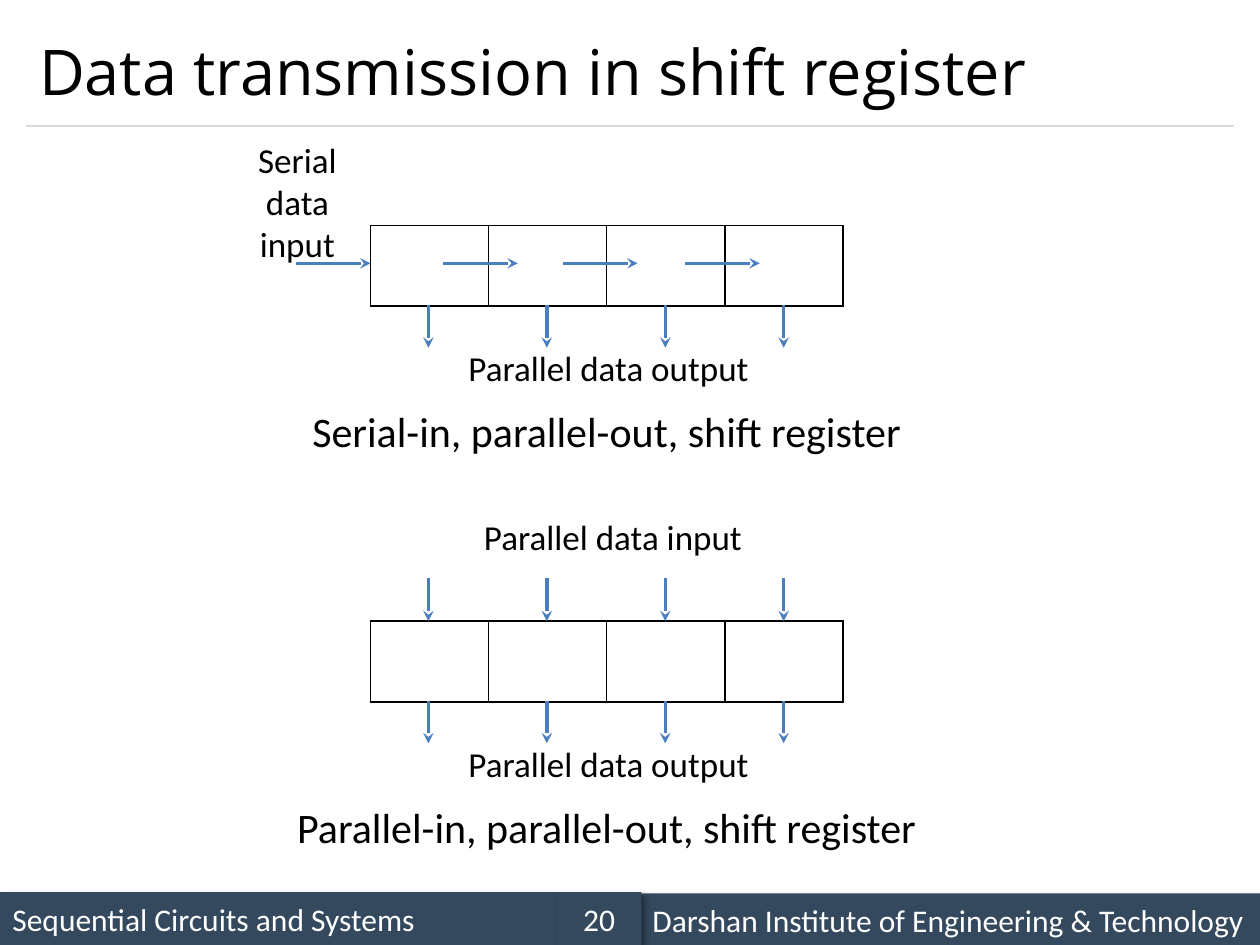
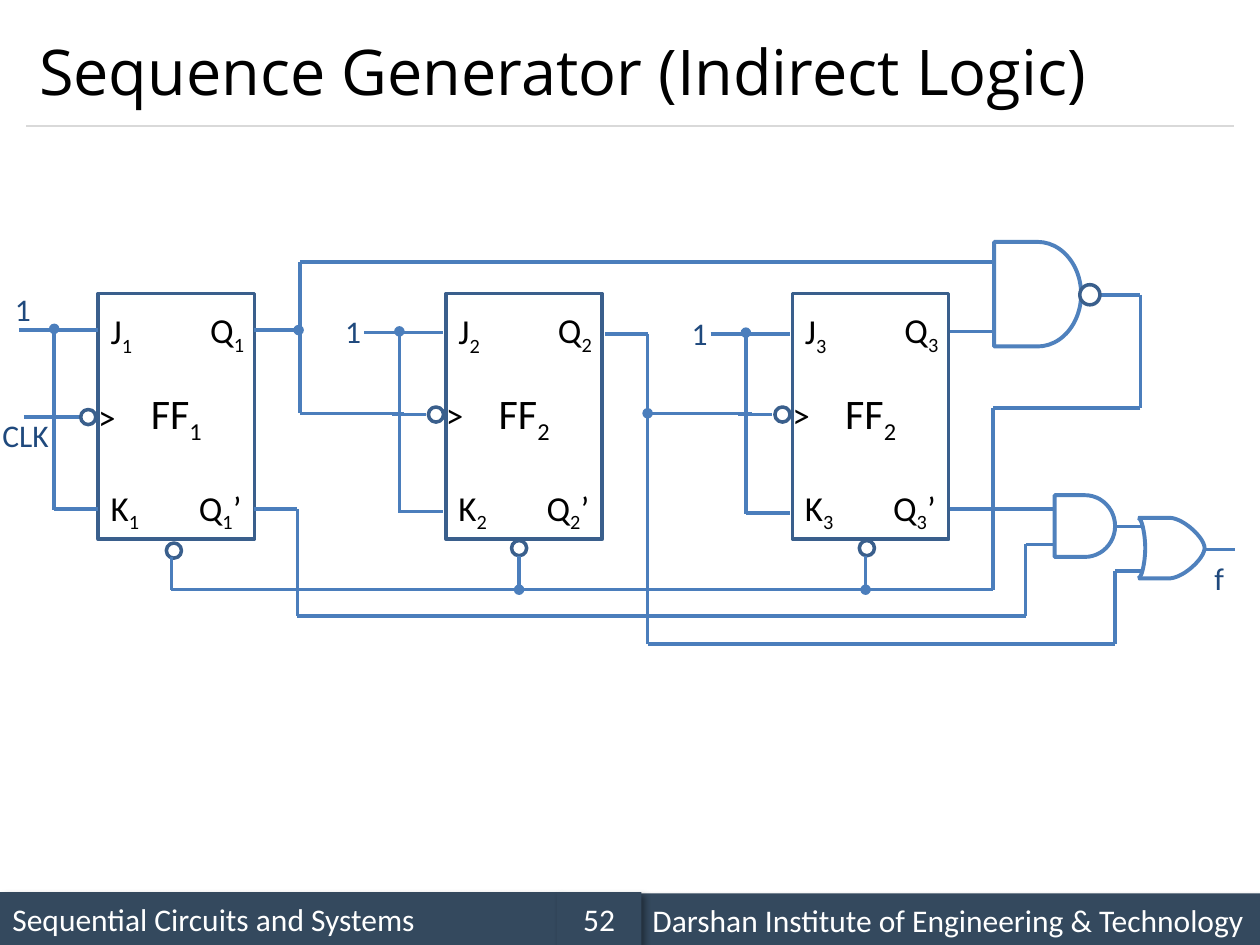
from itertools import pairwise

from lxml.etree import SubElement
from pptx import Presentation
from pptx.dml.color import RGBColor
from pptx.enum.shapes import MSO_CONNECTOR, MSO_SHAPE
from pptx.enum.text import MSO_ANCHOR, MSO_AUTO_SIZE, PP_ALIGN
from pptx.oxml.ns import qn
from pptx.util import Inches, Pt

COLOURS = {
    "band": "34495E",
    "rule": "D9D9D9",
    "wire": "4B7EBC",
    "gate": "4F81BD",
    "outline": "3A5F8C",
    "signal": "1F497D",
    "ink": "000000",
    "paper": "FFFFFF",
}
BODY_FONT, TITLE_FONT = "Calibri", "Open Sans"
BUBBLE = 0.12


def colour(name):
    """Return the named colour."""
    return RGBColor.from_string(COLOURS[name])


def write(frame, text, size, ink="ink", align=PP_ALIGN.LEFT, font=BODY_FONT):
    """Write one paragraph in which an underscore lowers the next letter."""
    paragraph = frame.paragraphs[0]
    paragraph.alignment = align
    plain, *lowered = text.split("_")
    pieces = [(plain, False)]
    for part in lowered:
        pieces += [(part[0], True), (part[1:], False)]
    for words, is_subscript in pieces:
        if not words:
            continue
        run = paragraph.add_run()
        run.text = words
        run.font.size, run.font.name = Pt(size), font
        run.font.color.rgb = colour(ink)
        if is_subscript:
            run._r.get_or_add_rPr().set("baseline", "-25000")


def label(slide, text, box, size=20, ink="ink", align=PP_ALIGN.LEFT, wrap=False):
    """Place a text label in the box."""
    frame = slide.shapes.add_textbox(*map(Inches, box)).text_frame
    frame.word_wrap = wrap
    write(frame, text, size, ink, align)


def block(slide, kind, box, fill=None, outline=None, weight=2):
    """Place a flat preset shape in the box."""
    shape = slide.shapes.add_shape(kind, *map(Inches, box))
    shape.shadow.inherit = False
    style(shape, fill, outline, weight)
    shape.text_frame.vertical_anchor = MSO_ANCHOR.MIDDLE
    return shape


def style(shape, fill, outline, weight):
    """Set the fill and outline, leaving out what is not named."""
    for part, name in ((shape.fill, fill), (shape.line.fill, outline)):
        if name:
            part.solid()
            part.fore_color.rgb = colour(name)
        else:
            part.background()
    if outline:
        shape.line.width = Pt(weight)


def line(slide, start, end, tail=None, head=None, ink="wire", weight=2):
    """Draw a straight line with optional end marks."""
    connector = slide.shapes.add_connector(
        MSO_CONNECTOR.STRAIGHT, *map(Inches, (*start, *end)))
    connector.line.color.rgb = colour(ink)
    connector.line.width = Pt(weight)
    properties = connector.element.spPr
    for tag, mark in (("a:headEnd", head), ("a:tailEnd", tail)):
        if mark:
            SubElement(properties.find(qn("a:ln")), qn(tag), type=mark)
    SubElement(properties, qn("a:effectLst"))


def route(slide, *corners):
    """Join the corners with straight wires."""
    for start, end in pairwise(corners):
        line(slide, start, end)


def bubble(slide, left, top, size=BUBBLE):
    """Draw an inversion bubble."""
    block(slide, MSO_SHAPE.OVAL, (left, top, size, size), "paper", "outline")


def footer_band(slide, text, box, align=PP_ALIGN.LEFT):
    """Draw one shaded part of the footer."""
    band = block(slide, MSO_SHAPE.RECTANGLE, box, "band")
    effects = band.element.spPr.find(qn("a:effectLst"))
    shadow = SubElement(effects, qn("a:outerShdw"), blurRad=str(Pt(4)),
                        dist=str(Pt(3)), dir=str(45 * 60000), rotWithShape="0")
    black = SubElement(shadow, qn("a:srgbClr"), val=COLOURS["ink"])
    SubElement(black, qn("a:alpha"), val="40000")
    write(band.text_frame, text, 18, "paper", align)


def new_slide(deck, title, page):
    """Add a slide with its title, rule and footer."""
    slide = deck.slides.add_slide(deck.slide_layouts[5])
    footer_band(slide, "Sequential Circuits and Systems", (0, 7.08, 4.42, 0.42))
    line(slide, (0.21, 1), (9.79, 1), ink="rule", weight=0.75)
    footer_band(slide, "Darshan Institute of Engineering & Technology",
                (5.08, 7.09, 4.92, 0.42))
    footer_band(slide, page, (4.42, 7.08, 0.67, 0.42), PP_ALIGN.CENTER)
    heading = slide.shapes.title
    heading.left, heading.top, heading.width, heading.height = map(
        Inches, (0.21, 0.12, 9.58, 0.88))
    frame = heading.text_frame
    frame.auto_size = MSO_AUTO_SIZE.NONE
    frame.vertical_anchor = MSO_ANCHOR.MIDDLE
    write(frame, title, 36, font=TITLE_FONT)
    return slide


def register_cells(slide, box, count=4):
    """Draw the register as a one-row table with black borders."""
    table = slide.shapes.add_table(1, count, *map(Inches, box)).table
    table.first_row = table.horz_banding = False
    for cell in table.iter_cells():
        properties = cell._tc.get_or_add_tcPr()
        for side in ("a:lnL", "a:lnR", "a:lnT", "a:lnB"):
            border = SubElement(properties, qn(side), w=str(Pt(1)))
            fill = SubElement(border, qn("a:solidFill"))
            SubElement(fill, qn("a:srgbClr"), val=COLOURS["ink"])
        cell.fill.background()


def parallel_arrows(slide, left, top):
    """Draw one downward arrow for each register cell."""
    for cell in range(4):
        x = left + 0.46 + 0.94 * cell
        line(slide, (x, top), (x, top + 0.34), tail="stealth")


def parallel_out_register(slide, left, top, caption):
    """Draw a register with its parallel output and caption."""
    register_cells(slide, (left, top, 3.75, 0.64))
    parallel_arrows(slide, left, top + 0.63)
    label(slide, "Parallel data output", (left + 0.64, top + 0.91, 2.5, 0.47),
          align=PP_ALIGN.CENTER, wrap=True)
    label(slide, caption, (left - 0.87, top + 1.38, 5.49, 0.51), 24,
          align=PP_ALIGN.CENTER, wrap=True)


def serial_input(slide, left, top):
    """Draw the serial input and the shifts between cells."""
    label(slide, "Serial data input", (left - 1.02, top - 0.74, 0.88, 1.11),
          align=PP_ALIGN.CENTER, wrap=True)
    for offset in (-0.59, 0.58, 1.53, 2.5):
        x, y = left + offset, top + 0.3
        line(slide, (x, y), (x + 0.59, y), tail="stealth")


def parallel_input(slide, left, top):
    """Draw the parallel input above a register."""
    label(slide, "Parallel data input", (left + 0.79, top - 0.89, 2.27, 0.46),
          align=PP_ALIGN.CENTER, wrap=True)
    parallel_arrows(slide, left, top - 0.34)


def transmission_slide(deck):
    """Build the slide on data transmission."""
    slide = new_slide(deck, "Data transmission in shift register", "20")
    left, serial_top, parallel_top = 2.94, 1.79, 4.93
    parallel_out_register(slide, left, serial_top,
                          "Serial-in, parallel-out, shift register")
    serial_input(slide, left, serial_top)
    parallel_out_register(slide, left, parallel_top,
                          "Parallel-in, parallel-out, shift register")
    parallel_input(slide, left, parallel_top)


def flip_flop(slide, left, top, name, number, clock_y):
    """Draw a flip-flop with its pin names."""
    body = block(slide, MSO_SHAPE.RECTANGLE, (left, top, 1.24, 1.95), None, "outline")
    write(body.text_frame, name, 24, align=PP_ALIGN.CENTER)
    pins = (
        (f"J_{number}", 0, 0.08, 0.39),
        (f"Q_{number}", 0.79, 0.07, 0.49),
        (">", -0.1, clock_y - 0.22 - top, 0.34),
        (f"K_{number}", 0, 1.48, 0.44),
        (f"Q_{number}’", 0.7, 1.48, 0.56),
    )
    for pin, dx, dy, width in pins:
        label(slide, pin, (left + dx, top + dy, width, 0.44))


def high_input(slide, left, top, text_left, text_top):
    """Tie the J and K pins to logic 1."""
    right, rail, bottom = left + 0.63, left + 0.28, top + 1.42
    line(slide, (left, top), (right, top))
    line(slide, (rail, bottom), (right, bottom))
    line(slide, (rail, top - 0.01), (rail, bottom + 0.01), head="oval")
    label(slide, "1", (text_left, text_top, 0.33, 0.4), 18, "signal")


def bezier(start, pull_start, pull_end, end, steps=16):
    """Return points along a cubic curve."""
    points = []
    for step in range(steps + 1):
        t = step / steps
        weights = ((1 - t) ** 3, 3 * t * (1 - t) ** 2, 3 * t * t * (1 - t), t ** 3)
        controls = (start, pull_start, pull_end, end)
        points.append(tuple(sum(w * p[axis] for w, p in zip(weights, controls))
                            for axis in (0, 1)))
    return points


def or_gate(slide, left, top):
    """Draw an OR gate from its body and its curved back."""
    height = 0.48
    nose = bezier((0.26, 0), (0.37, 0.01), (0.53, 0.16), (0.53, 0.24))
    back = bezier((0, 0), (0.04, 0), (0.06, 0.16), (0.06, 0.24))
    for upper in ([(0.01, 0)] + nose, back):
        lower = [(x, height - y) for x, y in reversed(upper[:-1])]
        points = [(Inches(left + x), Inches(top + y)) for x, y in upper + lower]
        builder = slide.shapes.build_freeform(*points[0])
        builder.add_line_segments(points[1:], close=False)
        outline = builder.convert_to_shape()
        outline.shadow.inherit = False
        style(outline, None, "gate", 2.25)


def output_logic(slide):
    """Draw the gates and the output f."""
    for box in ((7.89, 1.92, 0.69, 0.83), (8.37, 3.93, 0.48, 0.49)):
        block(slide, MSO_SHAPE.FLOWCHART_DELAY, box, None, "gate", 2.25)
    bubble(slide, 8.57, 2.26, 0.16)
    or_gate(slide, 9.03, 4.11)
    line(slide, (9.57, 4.36), (9.8, 4.36))
    label(slide, "f", (9.54, 4.39, 0.28, 0.4), 18, "signal")


def wiring(slide):
    """Draw the wires between flip-flops and gates."""
    line(slide, (2.02, 2.62), (2.37, 2.62), tail="oval")
    line(slide, (5.97, 3.28), (5.14, 3.28), tail="oval")
    q1_to_nand = (7.88, 2.08), (2.38, 2.08), (2.38, 3.28), (3.21, 3.28)
    q2_to_or = (4.8, 2.65), (5.14, 2.65), (5.14, 5.11), (8.85, 5.11), (8.85, 4.53), (9.07, 4.53)
    q3_to_nand = (7.54, 2.63), (7.9, 2.63)
    nand_to_clear = ((8.73, 2.34), (9.05, 2.34), (9.05, 3.24), (7.88, 3.24),
                     (7.88, 4.68), (1.36, 4.68), (1.36, 4.42))
    q1_bar_to_and = ((2.02, 4.04), (2.36, 4.04), (2.36, 4.89), (8.14, 4.89),
                     (8.14, 4.32), (8.37, 4.32))
    q3_bar_to_and = (7.54, 4.04), (8.37, 4.04)
    and_to_or = (8.84, 4.18), (9.07, 4.18)
    for corners in (q1_to_nand, q2_to_or, q3_to_nand, nand_to_clear,
                    q1_bar_to_and, q3_bar_to_and, and_to_or):
        route(slide, *corners)
    for clear_x in (4.12, 6.87):
        line(slide, (clear_x, 4.41), (clear_x, 4.68), tail="oval")


def generator_slide(deck):
    """Build the slide on the sequence generator."""
    slide = new_slide(deck, "Sequence Generator (Indirect Logic)", "52")
    top = 2.33
    stages = (
        (0.78, "FF_1", 3.31, 0.19, 0.67, (1.32, 4.31), (0.15, 2.62, 0.02, 2.25)),
        (3.54, "FF_2", 3.29, 3.11, 3.38, (4.06, 4.29), (2.89, 2.64, 2.64, 2.43)),
        (6.29, "FF_2", 3.29, 5.86, 6.13, (6.82, 4.29), (5.64, 2.65, 5.39, 2.44)),
    )
    for number, stage in enumerate(stages, 1):
        left, name, clock_y, clock_start, clock_end, clear, high = stage
        flip_flop(slide, left, top, name, number, clock_y)
        line(slide, (clock_start, clock_y), (clock_end, clock_y))
        bubble(slide, left - 0.14, clock_y - BUBBLE / 2)
        high_input(slide, *high)
        bubble(slide, *clear)
    label(slide, "CLK", (-0.08, 3.25, 0.58, 0.4), 18, "signal")
    wiring(slide)
    output_logic(slide)


def main():
    """Build and save the deck."""
    deck = Presentation()
    deck.slide_width, deck.slide_height = Inches(10), Inches(7.5)
    transmission_slide(deck)
    generator_slide(deck)
    deck.save("out.pptx")


if __name__ == "__main__":
    main()
